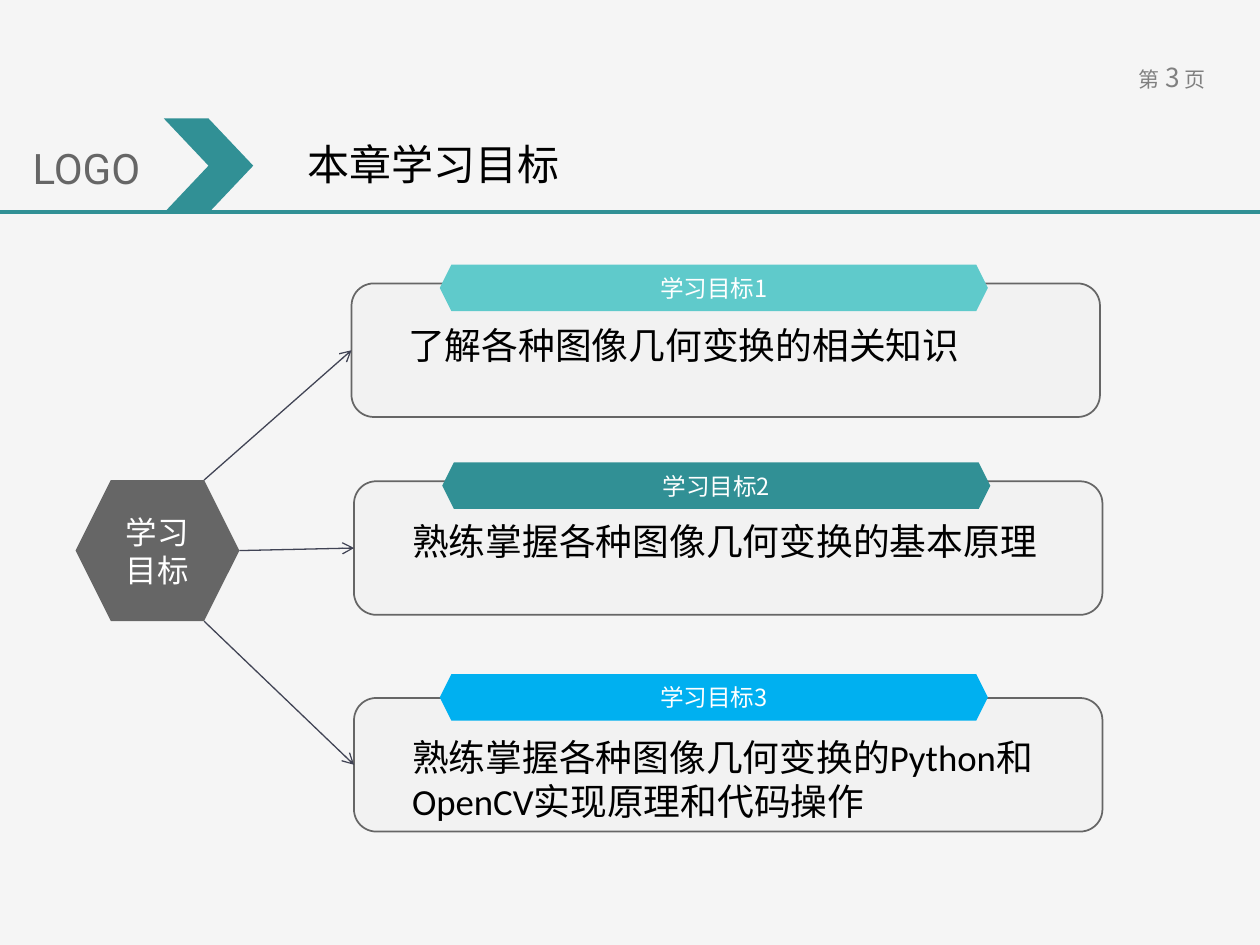
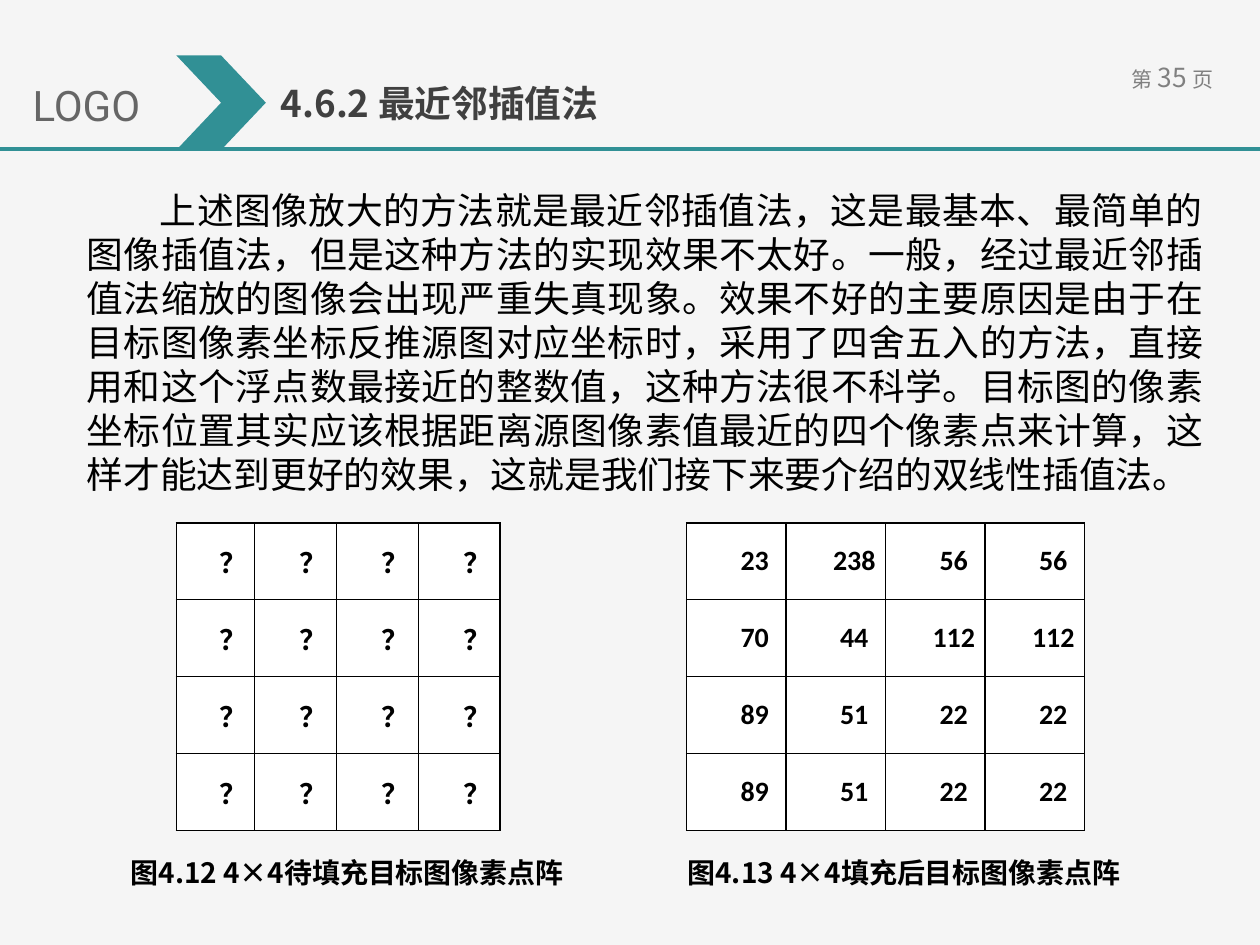
"""Build two lecture slides: the chapter goals and nearest-neighbour interpolation."""
import pptx
import pptx.dml.color
import pptx.enum.shapes
import pptx.enum.text
import pptx.oxml.ns
import pptx.util
from lxml import etree

Inches, Pt = pptx.util.Inches, pptx.util.Pt
RGBColor = pptx.dml.color.RGBColor
SHAPE = pptx.enum.shapes.MSO_SHAPE
ALIGN = pptx.enum.text.PP_ALIGN
MIDDLE = pptx.enum.text.MSO_ANCHOR.MIDDLE
qn = pptx.oxml.ns.qn

BACKGROUND = RGBColor(0xF5, 0xF5, 0xF5)
PANEL = RGBColor(0xF2, 0xF2, 0xF2)
TEAL = RGBColor(0x31, 0x90, 0x95)
AQUA = RGBColor(0x5F, 0xCA, 0xCB)
BLUE = RGBColor(0x00, 0xB0, 0xF0)
GRAY = RGBColor(0x66, 0x66, 0x66)
LIGHT_GRAY = RGBColor(0x80, 0x80, 0x80)
DARK_GRAY = RGBColor(0x40, 0x40, 0x40)
ARROW = RGBColor(0x41, 0x44, 0x55)
BLACK = RGBColor(0, 0, 0)
WHITE = RGBColor(255, 255, 255)

CJK = "Noto Sans CJK SC"
SNUG = (0.08, 0.04, 0.08, 0.04)
ROOMY = (0.1, 0.05, 0.1, 0.05)
INDENT = 0.29

PANEL_SIZE = (5.94, 1.06)
BANNER_SIZE = (4.35, 0.37)
HUB = (0.6, 3.81, 1.3, 1.12)
GOALS = [
    {"label": "学习目标1", "text": "了解各种图像几何变换的相关知识", "color": AQUA,
     "panel": (2.79, 2.25), "banner": (3.49, 2.1), "body": (3.16, 2.52, 5.33, 0.43),
     "start": (1.62, 3.81)},
    {"label": "学习目标2", "text": "熟练掌握各种图像几何变换的基本原理", "color": TEAL,
     "panel": (2.81, 3.82), "banner": (3.51, 3.67), "body": (3.19, 4.08, 5.38, 0.43),
     "start": (1.9, 4.37)},
    {"label": "学习目标3", "text": "熟练掌握各种图像几何变换的Python和OpenCV实现原理和代码操作",
     "color": BLUE, "panel": (2.81, 5.54), "banner": (3.49, 5.35),
     "body": (3.19, 5.79, 5.38, 0.78), "start": (1.62, 4.93)},
]

EXPLANATION = (
    "上述图像放大的方法就是最近邻插值法，这是最基本、最简单的图像插值法，但是这种方法的实现效果不太好。"
    "一般，经过最近邻插值法缩放的图像会出现严重失真现象。效果不好的主要原因是由于在目标图像素坐标反推源图对应坐标时，"
    "采用了四舍五入的方法，直接用和这个浮点数最接近的整数值，这种方法很不科学。"
    "目标图的像素坐标位置其实应该根据距离源图像素值最近的四个像素点来计算，这样才能达到更好的效果，"
    "这就是我们接下来要介绍的双线性插值法。"
)
GRIDS = [
    {"left": 1.4, "columns": [0.62, 0.65, 0.65, 0.65], "rows": [["？"] * 4] * 4,
     "caption": "图4.12 4×4待填充目标图像素点阵", "caption_left": 0.1},
    {"left": 5.45, "columns": [0.79] * 4,
     "rows": [[23, 238, 56, 56], [70, 44, 112, 112], [89, 51, 22, 22], [89, 51, 22, 22]],
     "caption": "图4.13 4×4填充后目标图像素点阵", "caption_left": 4.52},
]
GRID_TOP, ROW_HEIGHT = 4.15, 0.61


def inches(values):
    return [Inches(value) for value in values]


def write(paragraph, text, size, color, font=CJK, bold=False):
    run = paragraph.add_run()
    run.text = text
    run.font.size, run.font.bold, run.font.name = Pt(size), bold, font
    run.font.color.rgb = color
    etree.SubElement(run.font._element, qn("a:ea"), typeface=CJK)


def set_indent(paragraph, indent):
    properties = paragraph._p.get_or_add_pPr()
    properties.set("marL", "0")
    properties.set("indent", str(Inches(indent)))


def set_margins(frame, margins):
    (frame.margin_left, frame.margin_top,
     frame.margin_right, frame.margin_bottom) = inches(margins)


def add_text(slide, box, runs, align=ALIGN.LEFT, indent=0, margins=ROOMY, spacing=None,
             wrap=True):
    frame = slide.shapes.add_textbox(*inches(box)).text_frame
    frame.word_wrap = wrap
    set_margins(frame, margins)
    paragraph = frame.paragraphs[0]
    paragraph.alignment = align
    paragraph.line_spacing = spacing
    set_indent(paragraph, indent)
    for run in runs:
        write(paragraph, *run)


def add_block(slide, kind, box, fill, line=None, label=None, size=None):
    shape = slide.shapes.add_shape(kind, *inches(box))
    shape.shadow.inherit = False
    shape.fill.solid()
    shape.fill.fore_color.rgb = fill
    if line is None:
        shape.line.fill.background()
    else:
        shape.line.color.rgb = line
        shape.line.width = Pt(1)
    if label:
        frame = shape.text_frame
        frame.vertical_anchor = MIDDLE
        set_margins(frame, SNUG)
        frame.paragraphs[0].alignment = ALIGN.CENTER
        write(frame.paragraphs[0], label, size, WHITE)


def add_line(slide, start, end, color, width, arrow=False):
    connector = slide.shapes.add_connector(
        pptx.enum.shapes.MSO_CONNECTOR.STRAIGHT, *inches(start + end))
    connector.line.color.rgb = color
    connector.line.width = Pt(width)
    if arrow:
        etree.SubElement(connector.line._get_or_add_ln(), qn("a:tailEnd"), type="arrow")
    etree.SubElement(connector._element.spPr, qn("a:effectLst"))


def add_framed_slide(presentation, page, rule_top, chevron_left):
    slide = presentation.slides.add_slide(presentation.slide_layouts[6])
    slide.background.fill.solid()
    slide.background.fill.fore_color.rgb = BACKGROUND
    parts = [("第", 12), (" ", 13.5), (page, 15), (" ", 13.5), ("页", 12)]
    add_text(slide, (8.84, 0.44, 0.93, 0.35),
             [(text, size, LIGHT_GRAY) for text, size in parts], ALIGN.CENTER)
    add_line(slide, (0, rule_top), (10, rule_top), TEAL, 2.25)
    add_block(slide, SHAPE.CHEVRON, (chevron_left, rule_top - 0.74, 0.71, 0.75), TEAL)
    add_text(slide, (0.16, rule_top - 0.6, 1.25, 0.51),
             [("LOGO", 24, GRAY, "Roboto")], wrap=False)
    return slide


def add_goal(slide, goal):
    left, top = goal["panel"]
    add_block(slide, SHAPE.ROUNDED_RECTANGLE, goal["panel"] + PANEL_SIZE, PANEL, GRAY)
    add_block(slide, SHAPE.HEXAGON, goal["banner"] + BANNER_SIZE, goal["color"],
              label=goal["label"], size=13.5)
    add_text(slide, goal["body"], [(goal["text"], 21, BLACK, "Calibri")], margins=SNUG)
    add_line(slide, goal["start"], (left, top + PANEL_SIZE[1] / 2), ARROW, 0.75, arrow=True)


def add_borders(cell):
    properties = cell._tc.get_or_add_tcPr()
    for position, side in enumerate(("lnL", "lnR", "lnT", "lnB")):
        border = etree.Element(qn("a:" + side), w=str(Pt(1)))
        fill = etree.SubElement(border, qn("a:solidFill"))
        etree.SubElement(fill, qn("a:srgbClr"), val=str(BLACK))
        properties.insert(position, border)


def add_grid(slide, grid):
    rows, columns = grid["rows"], grid["columns"]
    box = (grid["left"], GRID_TOP, sum(columns), ROW_HEIGHT * len(rows))
    table = slide.shapes.add_table(len(rows), len(columns), *inches(box)).table
    table.first_row = table.horz_banding = False
    for column, width in zip(table.columns, columns):
        column.width = Inches(width)
    for row, values in zip(table.rows, rows):
        row.height = Inches(ROW_HEIGHT)
        for cell, value in zip(row.cells, values):
            cell.fill.solid()
            cell.fill.fore_color.rgb = WHITE
            add_borders(cell)
            cell.vertical_anchor = MIDDLE
            set_margins(cell, (0.07, 0, 0.07, 0))
            paragraph = cell.text_frame.paragraphs[0]
            paragraph.alignment = ALIGN.CENTER
            set_indent(paragraph, INDENT)
            write(paragraph, str(value), 16, BLACK, "Calibri", True)
    add_text(slide, (grid["caption_left"], 6.74, 5.02, 0.37),
             [(grid["caption"], 16, BLACK, CJK, True)], ALIGN.CENTER, INDENT)


def main():
    presentation = pptx.Presentation()
    presentation.slide_width, presentation.slide_height = Inches(10), Inches(7.5)

    goals_slide = add_framed_slide(presentation, "3", 1.68, 1.3)
    add_text(goals_slide, (2.01, 0.85, 3.35, 0.64), [("本章学习目标", 24, BLACK, "Roboto")],
             ALIGN.JUSTIFY, 0.33, spacing=1.5)
    add_block(goals_slide, SHAPE.HEXAGON, HUB, GRAY, label="学习目标", size=18)
    for goal in GOALS:
        add_goal(goals_slide, goal)

    method_slide = add_framed_slide(presentation, "35", 1.18, 1.4)
    add_text(method_slide, (2.13, 0.59, 5.87, 0.45),
             [("4.6.2 最近邻插值法", 21, DARK_GRAY, CJK, True)])
    add_text(method_slide, (0.59, 1.44, 9.06, 2.57),
             [(EXPLANATION, 21, BLACK, "Times New Roman")], ALIGN.JUSTIFY, 2 * INDENT)
    for grid in GRIDS:
        add_grid(method_slide, grid)

    presentation.save("out.pptx")


if __name__ == "__main__":
    main()
